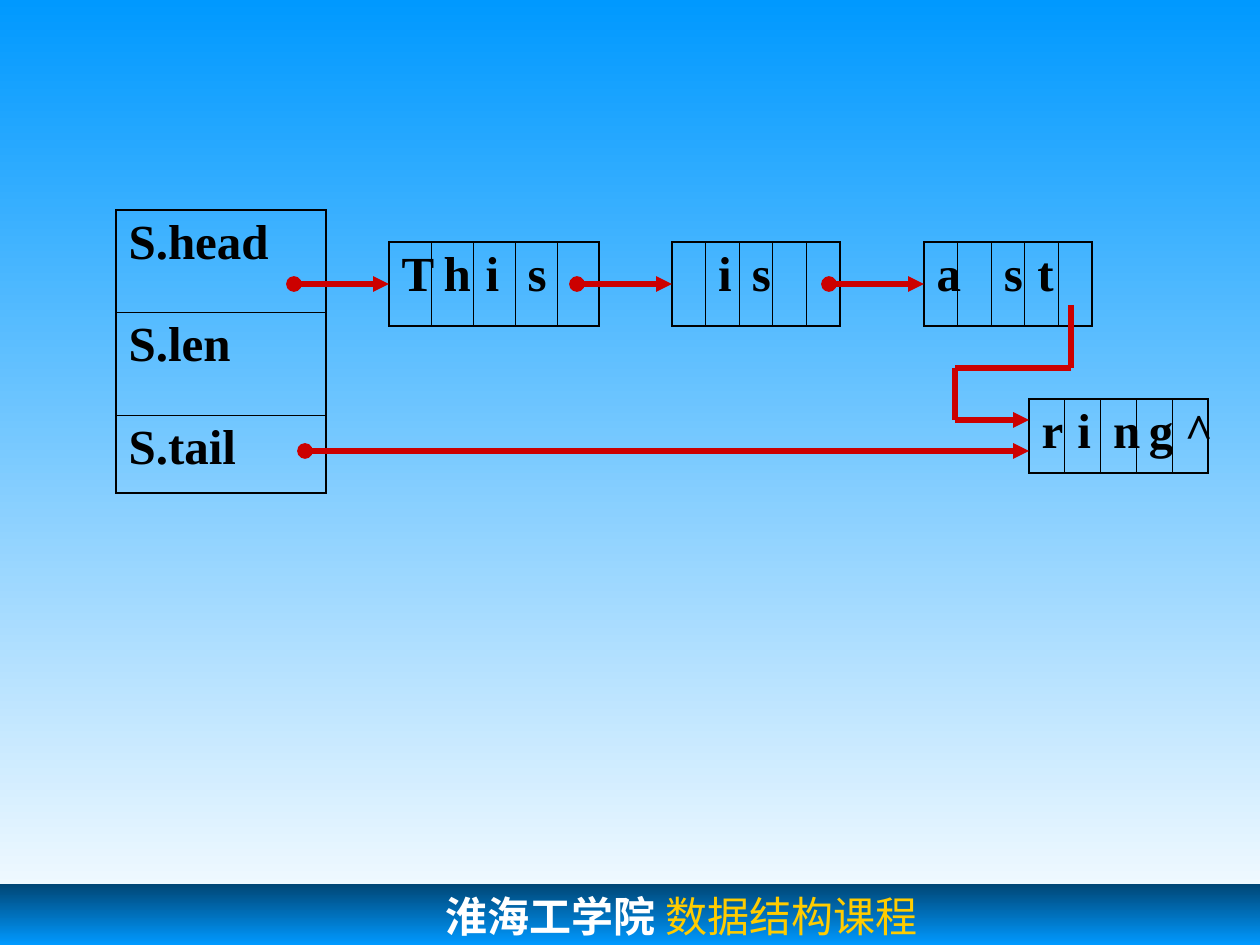
from copy import deepcopy
from dataclasses import dataclass
from itertools import pairwise

from lxml import etree
from pptx import Presentation
from pptx.dml.color import RGBColor
from pptx.enum.shapes import MSO_CONNECTOR, MSO_SHAPE
from pptx.enum.text import MSO_ANCHOR, PP_ALIGN
from pptx.oxml.ns import qn
from pptx.util import Emu, Pt

RECTANGLE = MSO_SHAPE.RECTANGLE
STRAIGHT = MSO_CONNECTOR.STRAIGHT
TOP, LEFT = MSO_ANCHOR.TOP, PP_ALIGN.LEFT
EMU_PER_PX = 914400 / 126


def px(length):
    return Emu(round(length * EMU_PER_PX))


@dataclass(frozen=True)
class Theme:
    sky: tuple = ("0099FF", "FFFFFF")
    band: tuple = ("004675", "0099FF", "004675")
    ink: str = "000000"
    pointer: str = "CC0000"
    school: str = "FFFFFF"
    course: str = "FFCC00"
    serif: str = "Times New Roman"
    mono: str = "DejaVu Sans Mono"
    cell_size: int = 28
    footer_size: int = 24
    outer_border: float = 1.08
    inner_border: float = 0.45
    pointer_width: int = 3


class Diagram:
    def __init__(self, slide, theme):
        self.slide = slide
        self.theme = theme

    def gradient(self, fill, owner, colors):
        """Fill from top to bottom with evenly spaced colours."""
        fill.gradient()
        fill.gradient_angle = 270
        stop_list = owner.find(".//" + qn("a:gsLst"))
        while len(stop_list) < len(colors):
            stop_list.append(deepcopy(stop_list[0]))
        for index, (stop, color) in enumerate(zip(fill.gradient_stops, colors)):
            stop.position = index / (len(colors) - 1)
            stop.color.rgb = RGBColor.from_string(color)

    def background(self):
        self.gradient(self.slide.background.fill, self.slide._element, self.theme.sky)

    def add_text(self, paragraph, text, color, **font_format):
        run = paragraph.add_run()
        run.text = text
        run.font.color.rgb = RGBColor.from_string(color)
        for name, value in font_format.items():
            setattr(run.font, name, value)

    def footer(self, top, height, text_left, school, course):
        theme = self.theme
        band = self.slide.shapes.add_shape(RECTANGLE, 0, px(top), px(1260), px(height))
        band.shadow.inherit = False
        band.line.fill.background()
        self.gradient(band.fill, band._element, theme.band)
        frame = band.text_frame
        frame_format = {"word_wrap": True, "vertical_anchor": TOP, "margin_left": px(text_left)}
        for name, value in frame_format.items():
            setattr(frame, name, value)
        line = frame.paragraphs[0]
        line.alignment = LEFT
        size = Pt(theme.footer_size)
        self.add_text(line, school, theme.school, name=theme.mono, size=size, bold=True)
        self.add_text(line, course, theme.course, name=theme.serif, size=size, bold=False)

    def border(self, cell, side, width):
        line = etree.SubElement(cell._tc.get_or_add_tcPr(), qn("a:ln" + side), w=str(Pt(width)))
        solid = etree.SubElement(line, qn("a:solidFill"))
        etree.SubElement(solid, qn("a:srgbClr"), val=self.theme.ink)

    def cells(self, left, top, width, row_heights, rows):
        """Draw a grid with equal columns, a heavy frame and thin inner lines."""
        theme = self.theme
        last_row, last_column = len(rows) - 1, len(rows[0]) - 1
        grid = self.slide.shapes.add_table(
            len(rows), len(rows[0]), px(left), px(top), px(width), px(sum(row_heights))
        ).table
        grid.first_row = grid.horz_banding = False
        for column in grid.columns:
            column.width = px(width / len(rows[0]))
        for r, (height, texts) in enumerate(zip(row_heights, rows)):
            grid.rows[r].height = px(height)
            for c, text in enumerate(texts):
                cell = grid.cell(r, c)
                outer_sides = {"L": c == 0, "R": c == last_column, "T": r == 0, "B": r == last_row}
                for side, outer in outer_sides.items():
                    self.border(cell, side, theme.outer_border if outer else theme.inner_border)
                cell.fill.background()
                if text.strip():
                    self.add_text(cell.text_frame.paragraphs[0], text, theme.ink,
                                  name=theme.serif, size=Pt(theme.cell_size), bold=True)

    def pointer(self, start, end, dot=False, arrow=False):
        link = self.slide.shapes.add_connector(STRAIGHT, *map(px, (*start, *end)))
        link.line.color.rgb = RGBColor.from_string(self.theme.pointer)
        link.line.width = Pt(self.theme.pointer_width)
        outline = link._element.spPr.find(qn("a:ln"))
        if dot:
            etree.SubElement(outline, qn("a:headEnd"), type="oval")
        if arrow:
            etree.SubElement(outline, qn("a:tailEnd"), type="triangle")
        etree.SubElement(link._element.spPr, qn("a:effectLst"))


def main():
    presentation = Presentation()
    presentation.slide_width, presentation.slide_height = px(1260), px(945)
    slide = presentation.slides.add_slide(presentation.slide_layouts[6])
    diagram = Diagram(slide, Theme())

    # Background and course footer
    diagram.background()
    diagram.footer(884, 122, 446, "淮海工学院", " 数据结构课程")

    # String header record
    diagram.cells(116, 210, 210, [102, 103, 78], [["S.head"], ["S.len"], ["S.tail"]])

    # Blocks on the first line, each with an arrow into its left side
    node_top, node_height, link_length = 242, 84, 95
    link_y = node_top + node_height // 2
    for left, width, letters in [(389, 210, "This "), (672, 168, " is  "), (924, 168, "a st ")]:
        diagram.cells(left, node_top, width, [node_height], [letters])
        diagram.pointer((left - link_length, link_y), (left, link_y), dot=True, arrow=True)

    # Last block, reached by the bent link and by the tail pointer
    last_left = 1029
    diagram.cells(last_left, 399, 179, [74], ["ring^"])
    bends = [(1071, 305), (1071, 368), (955, 368), (955, 420), (last_left, 420)]
    for start, end in pairwise(bends):
        diagram.pointer(start, end, arrow=end == bends[-1])
    diagram.pointer((305, 451), (last_left, 451), dot=True, arrow=True)

    presentation.save("out.pptx")


if __name__ == "__main__":
    main()
